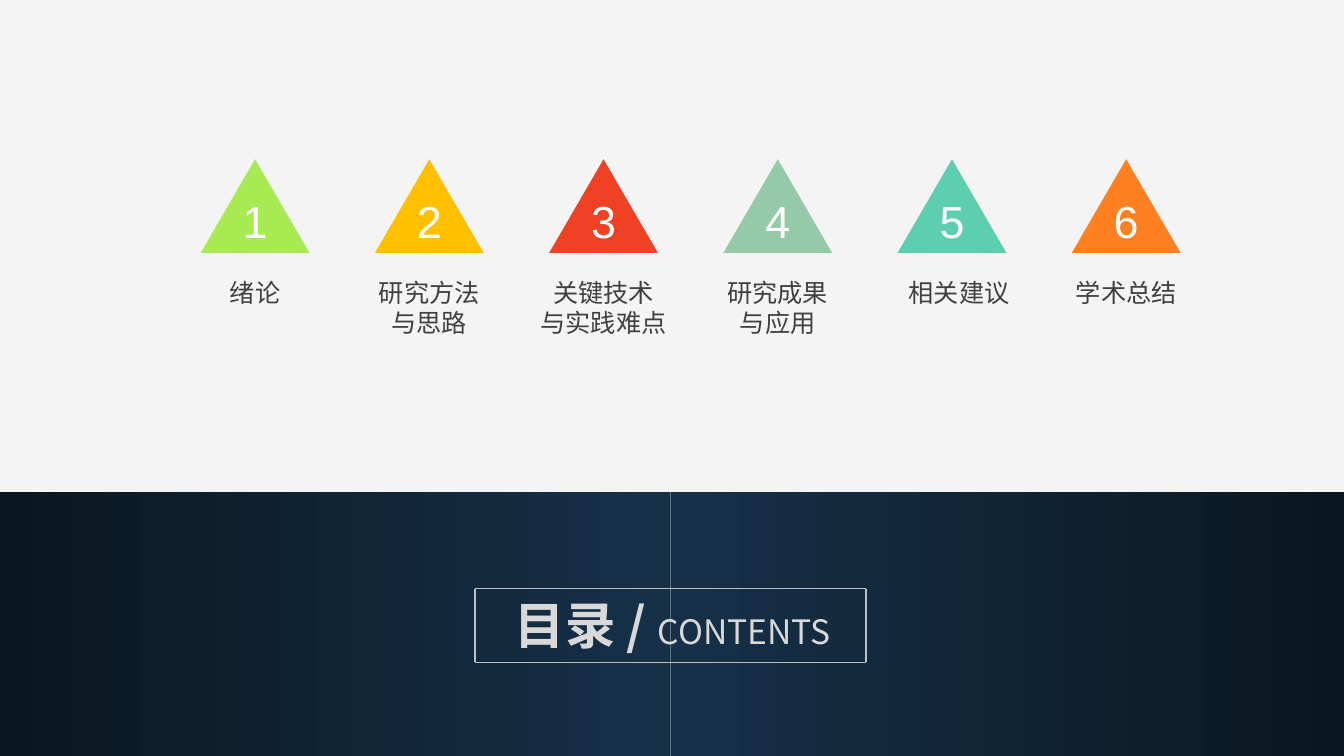
from itertools import pairwise

from lxml import etree
from pptx import Presentation
from pptx.dml.color import RGBColor
from pptx.enum import dml, shapes, text
from pptx.oxml.ns import qn
from pptx.util import Inches, Pt

# Content: label lines, triangle colour, sideways shift of the label
CHAPTERS = [
    (["绪论"], "A7EA52", 0),
    (["研究方法", "与思路"], "FFC000", 0),
    (["关键技术", "与实践难点"], "F14124", 0),
    (["研究成果", "与应用"], "94CAA8", 0),
    (["相关建议"], "5DCEAF", 0.07),
    (["学术总结"], "FF8021", 0),
]
TITLE_RUNS = [("目录 / ", 36, True), ("CONTENTS", 24, False)]
COLORS = {
    "paper": "F2F2F2", "white": "FFFFFF", "label": "404040", "title": "D9D9D9",
    "frame": "BFBFBF", "band_inner": "163048", "band_outer": "0A1721",
}
CJK_FONT = "Noto Sans CJK SC"

# Layout in inches
SLIDE_WIDTH, SLIDE_HEIGHT = 13.33, 7.5
BAND_TOP, BAND_MIDDLE = 4.88, 6.65
FIRST_CENTER, PITCH = 2.53, 1.728
TRIANGLE_TOP, TRIANGLE_WIDTH, TRIANGLE_HEIGHT = 1.58, 1.08, 0.93
FRAME_LEFT, FRAME_TOP, FRAME_RIGHT, FRAME_BOTTOM = 4.71, 5.84, 8.59, 6.57


def color(name):
    return RGBColor.from_string(COLORS.get(name, name))


def add_shape(kind, left, top, width, height):
    shape = slide.shapes.add_shape(kind, *map(Inches, (left, top, width, height)))
    shape.shadow.inherit = False
    shape.line.fill.background()
    return shape


def style(paragraph, font_name, color_name, size=None):
    paragraph.alignment = text.PP_ALIGN.CENTER
    font = paragraph.font
    font.name = font_name
    font.color.rgb = color(color_name)
    if size:
        font.size = Pt(size)
    properties = paragraph._p.pPr.find(qn("a:defRPr"))
    etree.SubElement(properties, qn("a:ea")).set("typeface", font_name)


def add_text_box(left, top, width, height, wrap=False):
    box = slide.shapes.add_textbox(*map(Inches, (left, top, width, height)))
    box.text_frame.word_wrap = wrap
    box.text_frame.auto_size = text.MSO_AUTO_SIZE.SHAPE_TO_FIT_TEXT
    return box.text_frame


def add_centered_text(lines, center, top, width, height, font_name, size, color_name):
    frame = add_text_box(center - width / 2, top, width, height)
    frame.text = "\n".join(lines)
    for paragraph in frame.paragraphs:
        style(paragraph, font_name, color_name, size)


presentation = Presentation()
presentation.slide_width = Inches(SLIDE_WIDTH)
presentation.slide_height = Inches(SLIDE_HEIGHT)
slide = presentation.slides.add_slide(presentation.slide_layouts[6])

# Hatched background
background = slide.background.fill
background.patterned()
background.pattern = dml.MSO_PATTERN.LIGHT_UPWARD_DIAGONAL
background.fore_color.rgb = color("white")
background.back_color.rgb = color("paper")

# Dark band: two mirrored gradients
for left, right, rotation in [(0, BAND_MIDDLE, 180), (BAND_MIDDLE, SLIDE_WIDTH, 0)]:
    half = add_shape(shapes.MSO_SHAPE.RECTANGLE, left, BAND_TOP,
                     right - left, SLIDE_HEIGHT - BAND_TOP)
    half.rotation = rotation
    half.fill.gradient()
    half.fill.gradient_angle = 0
    for stop, name in zip(half.fill.gradient_stops, ("band_inner", "band_outer")):
        stop.color.rgb = color(name)

# Numbered triangles with labels
for index, (lines, fill, shift) in enumerate(CHAPTERS):
    center = FIRST_CENTER + index * PITCH
    triangle = add_shape(shapes.MSO_SHAPE.ISOSCELES_TRIANGLE, center - TRIANGLE_WIDTH / 2,
                         TRIANGLE_TOP, TRIANGLE_WIDTH, TRIANGLE_HEIGHT)
    triangle.fill.solid()
    triangle.fill.fore_color.rgb = color(fill)
    add_centered_text([str(index + 1)], center, 1.87, 0.45, 0.64, "Arial", 32, "white")
    label_width = 0.21 + 0.25 * max(map(len, lines))
    label_height = 0.09 + 0.31 * len(lines)
    add_centered_text(lines, center + shift, 2.7, label_width, label_height,
                      CJK_FONT, 18, "label")

# Title
title = add_text_box(4.86, 5.84, 3.62, 0.71, wrap=True).paragraphs[0]
style(title, CJK_FONT, "title")
for words, size, bold in TITLE_RUNS:
    run = title.add_run()
    run.text = words
    run.font.size = Pt(size)
    run.font.bold = bold

# Frame around the title
corners = [(FRAME_LEFT, FRAME_TOP), (FRAME_RIGHT, FRAME_TOP),
           (FRAME_RIGHT, FRAME_BOTTOM), (FRAME_LEFT, FRAME_BOTTOM)]
for start, end in pairwise(corners + corners[:1]):
    edge = slide.shapes.add_connector(shapes.MSO_CONNECTOR.STRAIGHT,
                                      *map(Inches, start + end))
    edge.line.color.rgb = color("frame")
    edge.line.width = Pt(1)
    etree.SubElement(edge._element.spPr, qn("a:effectLst"))

presentation.save("out.pptx")
